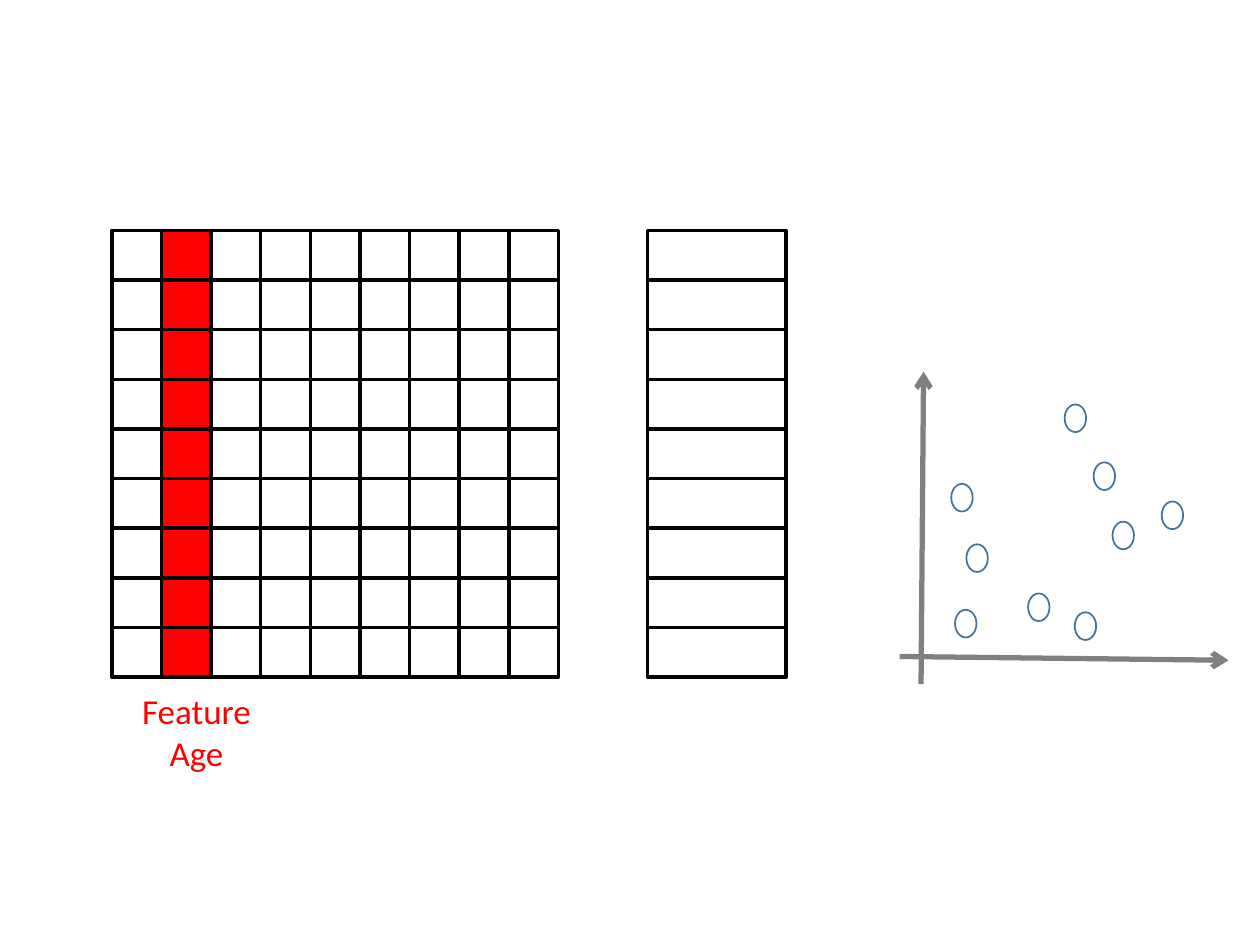
import pptx
import pptx.util
import pptx.dml.color
import pptx.enum.shapes
import pptx.enum.text
import pptx.oxml.ns
from lxml import etree

COLORS = {"grid": "000000", "feature": "FF0000", "axis": "808080", "point": "43739E"}
SHAPES = pptx.enum.shapes.MSO_SHAPE


def rgb(name):
    return pptx.dml.color.RGBColor.from_string(COLORS[name])


class Canvas:
    font = "Calibri"

    def __init__(self, prs):
        self.width, self.height = prs.slide_width, prs.slide_height
        self.slide = prs.slides.add_slide(prs.slide_layouts[6])

    def x(self, percent):
        return round(self.width * percent / 100)

    def y(self, percent):
        return round(self.height * percent / 100)

    def box(self, left, top, width, height):
        return self.x(left), self.y(top), self.x(width), self.y(height)

    def shape(self, kind, box, line, weight, fill=None):
        sp = self.slide.shapes.add_shape(kind, *self.box(*box))
        sp.shadow.inherit = False
        if fill:
            sp.fill.solid()
            sp.fill.fore_color.rgb = rgb(fill)
        else:
            sp.fill.background()
        sp.line.color.rgb = rgb(line)
        sp.line.width = pptx.util.Pt(weight)

    def arrow(self, x1, y1, x2, y2):
        sp = self.slide.shapes.add_connector(
            pptx.enum.shapes.MSO_CONNECTOR.STRAIGHT,
            self.x(x1), self.y(y1), self.x(x2), self.y(y2))
        sp.line.color.rgb = rgb("axis")
        sp.line.width = pptx.util.Pt(3)
        qn = pptx.oxml.ns.qn
        etree.SubElement(sp.line._get_or_add_ln(), qn("a:tailEnd"), type="arrow")
        etree.SubElement(sp._element.spPr, qn("a:effectLst"))

    def label(self, text, box, size, color):
        sp = self.slide.shapes.add_textbox(*self.box(*box))
        tf = sp.text_frame
        tf.word_wrap = True
        tf.auto_size = pptx.enum.text.MSO_AUTO_SIZE.SHAPE_TO_FIT_TEXT
        tf.text = text
        p = tf.paragraphs[0]
        p.alignment = pptx.enum.text.PP_ALIGN.CENTER
        r = p.runs[0]
        r.font.name = self.font
        r.font.size = pptx.util.Pt(size)
        r.font.color.rgb = rgb(color)


def main():
    prs = pptx.Presentation()
    prs.slide_width = pptx.util.Inches(10)
    prs.slide_height = pptx.util.Inches(7.5)
    canvas = Canvas(prs)

    count, feature_col = 9, 1
    left, top, cell_w, cell_h = 8.87, 24.4, 3.94, 5.25
    for row in range(count):
        y = top + row * cell_h
        for col in range(count):
            fill = "feature" if col == feature_col else None
            canvas.shape(SHAPES.RECTANGLE, (left + col * cell_w, y, cell_w, cell_h),
                         "grid", 2, fill)
        canvas.shape(SHAPES.RECTANGLE, (51.4, y, 11, cell_h), "grid", 2)

    canvas.label("Feature Age", (8.8, 72.27, 13.6, 10.27), 20, "feature")

    canvas.arrow(73.1, 72.4, 73.3, 39.33)
    canvas.arrow(71.4, 69.47, 97.5, 69.87)

    points = [(75.5, 51.2), (84.5, 42.8), (81.6, 62.8), (86.8, 48.93), (76.7, 57.6),
              (85.3, 64.8), (75.8, 64.53), (92.2, 53.07), (88.3, 55.2)]
    for x, y in points:
        canvas.shape(SHAPES.OVAL, (x, y, 1.7, 2.93), "point", 1)

    prs.save("out.pptx")


if __name__ == "__main__":
    main()
